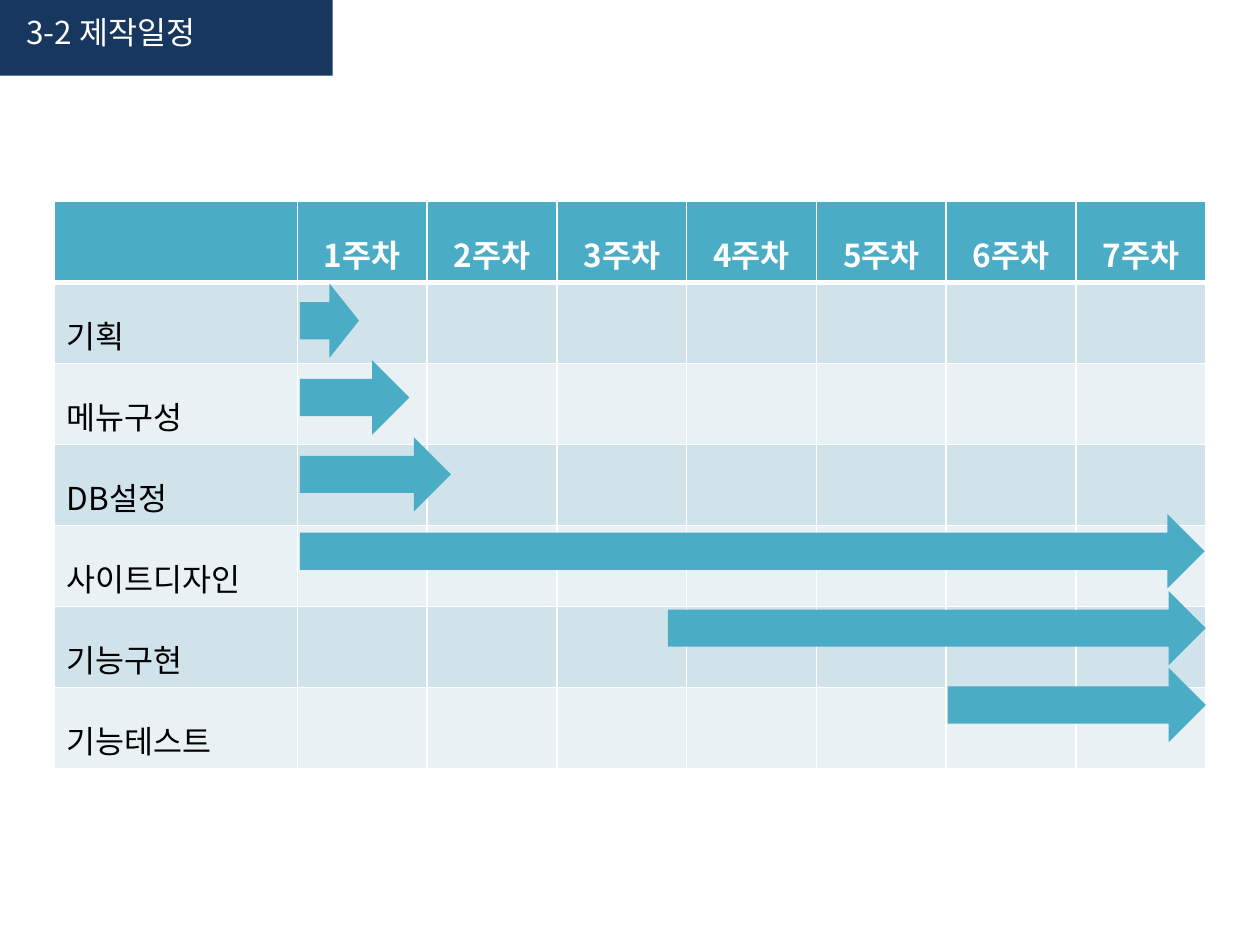
import lxml.etree
import pptx
import pptx.dml.color
import pptx.enum.shapes
import pptx.enum.text
import pptx.oxml.ns
import pptx.util

Inches = pptx.util.Inches
SHAPE = pptx.enum.shapes.MSO_SHAPE
ALIGN = pptx.enum.text.PP_ALIGN
ANCHOR = pptx.enum.text.MSO_ANCHOR
qn = pptx.oxml.ns.qn

FONT = "Noto Sans CJK KR"
COLORS = {
    "teal": "4BACC6", "navy": "17375E", "white": "FFFFFF",
    "black": "000000", "dark": "D0E3EA", "light": "E9F1F5",
}
TITLE = "3-2 제작일정"
WEEKS = [f"{week}주차" for week in range(1, 8)]
# Task, left edge and width of its arrow
TASKS = [
    ("기획", 2.38, 0.47),
    ("메뉴구성", 2.38, 0.87),
    ("DB설정", 2.38, 1.2),
    ("사이트디자인", 2.38, 7.18),
    ("기능구현", 5.3, 4.27),
    ("기능테스트", 7.52, 2.05),
]
FIRST_COL, WEEK_COL = 1.93, 1.03
ROW, TALL_ROW = 0.61, 0.64
ARROW_TOP, ARROW_HIGH = 2.25, 0.59


def get_color(name):
    return pptx.dml.color.RGBColor.from_string(COLORS[name])


def put_text(frame, text, color="black", bold=False, align=ALIGN.LEFT, space=1.0):
    para = frame.paragraphs[0]
    para.alignment = align
    para.line_spacing = space
    run = para.add_run()
    run.text = text
    font = run.font
    font.size = pptx.util.Pt(18)
    font.bold = bold
    font.color.rgb = get_color(color)
    font.name = FONT
    lxml.etree.SubElement(run._r.get_or_add_rPr(), qn("a:ea")).set("typeface", FONT)


def add_block(slide, kind, box, color):
    block = slide.shapes.add_shape(kind, *map(Inches, box))
    block.shadow.inherit = False
    block.fill.solid()
    block.fill.fore_color.rgb = get_color(color)
    block.line.fill.background()


def style_cell(cell, fill, top=1, bottom=1):
    """Set white borders, with widths in points, and then the fill."""
    props = cell._tc.get_or_add_tcPr()
    for side, width in (("L", 1), ("R", 1), ("T", top), ("B", bottom)):
        line = lxml.etree.SubElement(props, qn(f"a:ln{side}"))
        line.set("w", str(pptx.util.Pt(width)))
        paint = lxml.etree.SubElement(line, qn("a:solidFill"))
        lxml.etree.SubElement(paint, qn("a:srgbClr")).set("val", COLORS["white"])
    cell.fill.solid()
    cell.fill.fore_color.rgb = get_color(fill)


def add_plan(slide):
    rows, cols = len(TASKS) + 1, len(WEEKS) + 1
    size = (FIRST_COL + WEEK_COL * len(WEEKS), ROW * len(TASKS) + TALL_ROW)
    table = slide.shapes.add_table(
        rows, cols, Inches(0.43), Inches(1.6), *map(Inches, size)).table
    for c, col in enumerate(table.columns):
        col.width = Inches(WEEK_COL if c else FIRST_COL)
    for r, row in enumerate(table.rows):
        row.height = Inches(TALL_ROW if r == 1 else ROW)
        fill = "teal" if r == 0 else "dark" if r % 2 else "light"
        for cell in row.cells:
            style_cell(cell, fill, top=3 if r == 1 else 1, bottom=1 if r else 3)
    for c, week in enumerate(WEEKS, 1):
        put_text(table.cell(0, c).text_frame, week, color="white", bold=True,
                 align=ALIGN.CENTER, space=1.5)
    for r, (task, left, width) in enumerate(TASKS):
        put_text(table.cell(r + 1, 0).text_frame, task, space=1.5)
        box = (left, ARROW_TOP + ROW * r, width, ARROW_HIGH)
        add_block(slide, SHAPE.RIGHT_ARROW, box, "teal")


def add_title(slide):
    add_block(slide, SHAPE.RECTANGLE, (0, -0.03, 2.64, 0.63), "navy")
    title = slide.shapes.title
    title.left, title.top, title.width, title.height = map(
        Inches, (0.05, 0.05, 1.66, 0.4))
    frame = title.text_frame
    frame.auto_size = pptx.enum.text.MSO_AUTO_SIZE.NONE
    frame.word_wrap = True
    frame.vertical_anchor = ANCHOR.TOP
    frame.margin_left, frame.margin_right = Inches(0.16), 0
    put_text(frame, TITLE, color="white")
    # Bring the title in front of its band
    slide.shapes._spTree.append(title._element)


def main():
    deck = pptx.Presentation()
    deck.slide_width, deck.slide_height = Inches(10), Inches(7.5)
    slide = deck.slides.add_slide(deck.slide_layouts[5])
    add_plan(slide)
    add_title(slide)
    deck.save("out.pptx")


if __name__ == "__main__":
    main()
